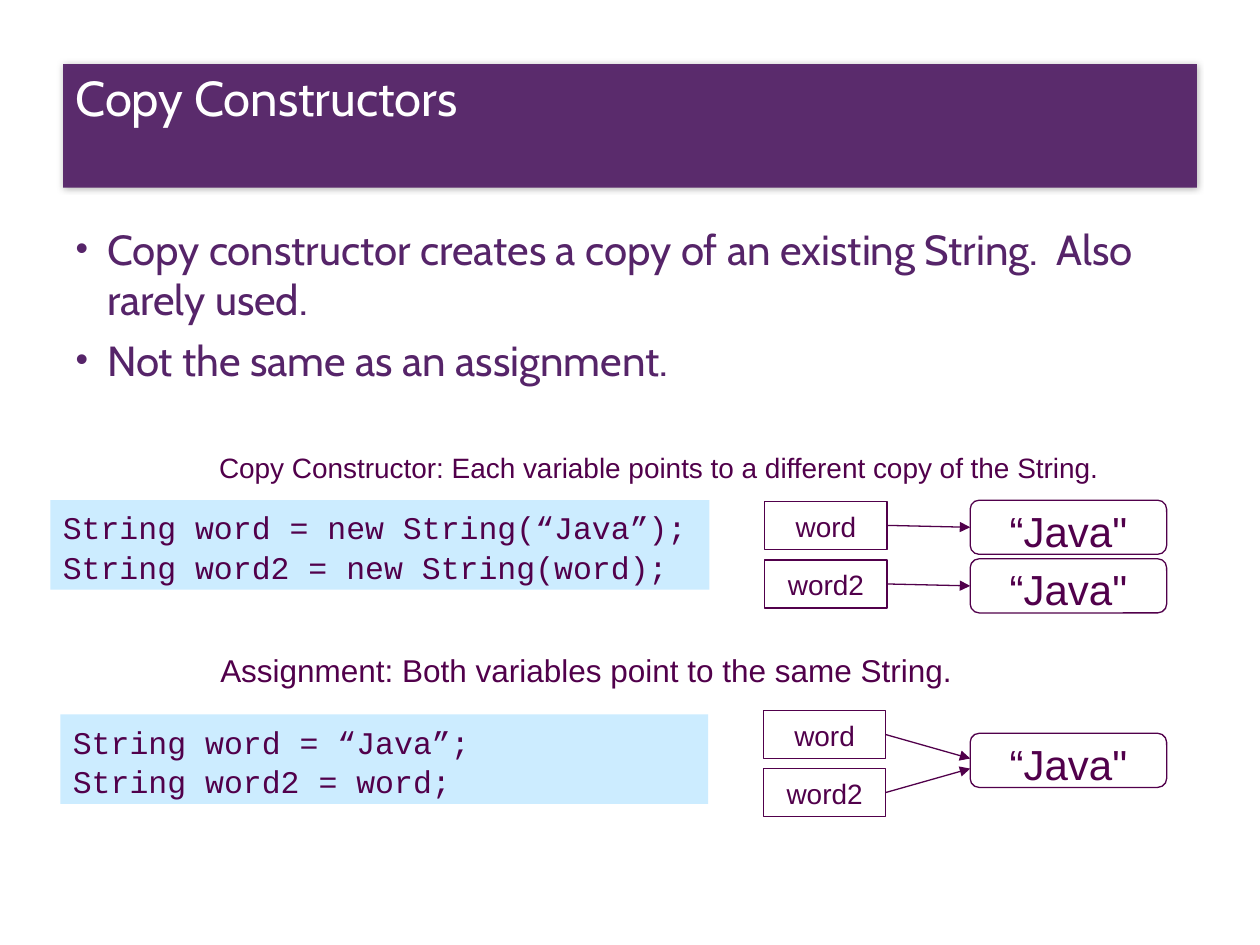
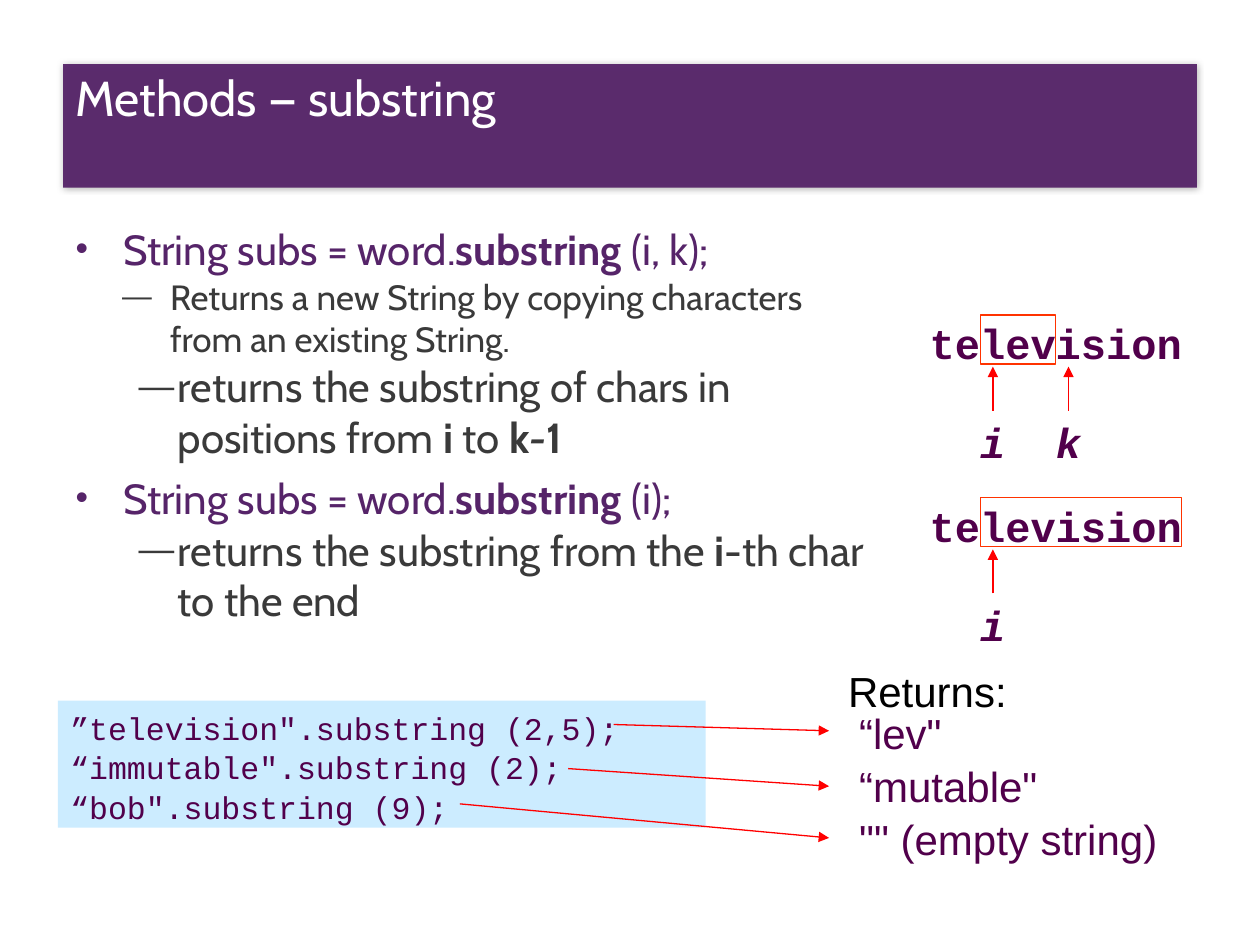
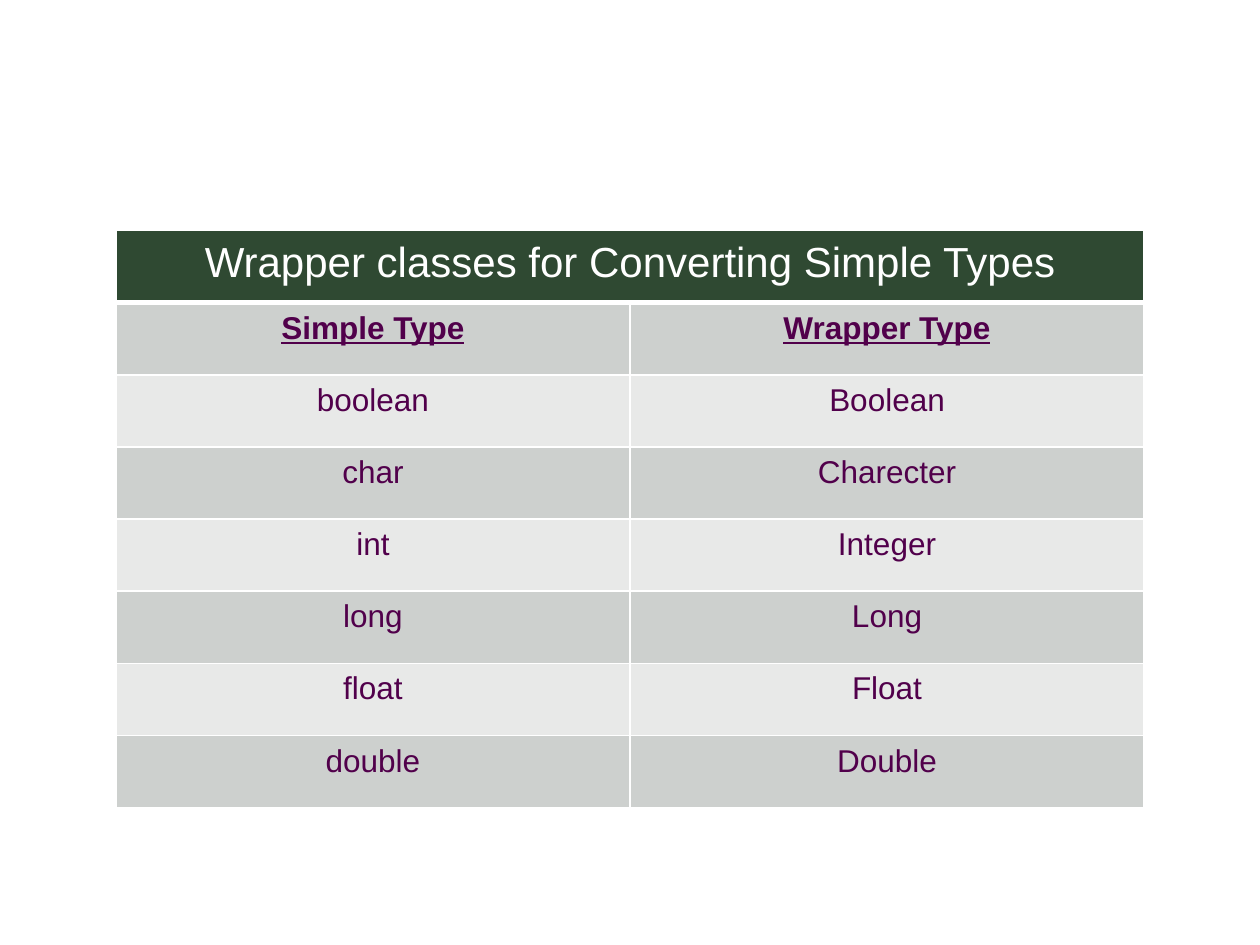
from lxml import etree
from pptx import Presentation
from pptx.dml.color import RGBColor
from pptx.enum.shapes import MSO_CONNECTOR, MSO_SHAPE
from pptx.enum.text import MSO_ANCHOR, MSO_AUTO_SIZE, PP_ALIGN
from pptx.oxml.ns import qn
from pptx.util import Inches, Pt

LEFT, CENTER = PP_ALIGN.LEFT, PP_ALIGN.CENTER
TOP = MSO_ANCHOR.TOP
NO_FIT = MSO_AUTO_SIZE.NONE
RECTANGLE, ROUNDED = MSO_SHAPE.RECTANGLE, MSO_SHAPE.ROUNDED_RECTANGLE
STRAIGHT = MSO_CONNECTOR.STRAIGHT
LEFT_SIDE, RIGHT_SIDE = 1, 3
TITLE_AND_BODY, BLANK = 1, 6

COLORS = {
    "band": "562469", "white": "FFFFFF", "black": "000000", "plum": "51004B",
    "detail": "3A3A3A", "code": "CCECFF", "red": "FF0000", "frame": "FF3300",
    "header": "2F4932", "dark row": "CDD0CE", "light row": "E8E9E8",
}
LABEL = {"name": "Arial", "size": Pt(16), "color": "plum"}
NOTE = {**LABEL, "size": Pt(18)}
VALUE = {**LABEL, "size": Pt(24)}
CODE = {**NOTE, "name": "Courier New"}
LETTERS = {**CODE, "size": Pt(24), "bold": True}
TITLE = {"name": "Cabin", "size": Pt(28), "color": "white"}
BULLET = {"name": "Cabin", "size": Pt(24), "color": "band"}
DETAIL = {**BULLET, "color": "detail"}
SMALL_DETAIL = {**DETAIL, "size": Pt(20)}
BOLD = {"bold": True}

LINE_SPACING = 1.05
CELL = 0.2  # width of one 24 pt monospaced letter
WORD_LEFT = 7.38


def color(name):
    return RGBColor.from_string(COLORS[name])


def add_xml(parent, tag, **attributes):
    return etree.SubElement(parent, qn(tag), attributes)


class Deck:
    def __init__(self):
        self.presentation = Presentation()
        self.presentation.slide_width = Inches(10)
        self.presentation.slide_height = Inches(7.5)
        self.page = None

    def new_page(self, layout):
        self.page = self.presentation.slides.add_slide(
            self.presentation.slide_layouts[layout])

    def place(self, shape, left, top, width, height):
        shape.left, shape.top = Inches(left), Inches(top)
        shape.width, shape.height = Inches(width), Inches(height)

    def span(self, para, text, style):
        span = para.add_run()
        span.text = text
        for key, value in style.items():
            if key == "color":
                span.font.color.rgb = color(value)
            else:
                setattr(span.font, key, value)

    def set_lines(self, frame, lines, style, align=LEFT):
        """Fill a text frame with one paragraph for each line."""
        for number, line in enumerate(lines):
            para = frame.add_paragraph() if number else frame.paragraphs[0]
            para.alignment, para.line_spacing = align, LINE_SPACING
            self.span(para, line, style)

    def title(self, text):
        title = self.page.shapes.title
        self.place(title, 0.5, 0.51, 9, 0.98)
        title.fill.solid()
        title.fill.fore_color.rgb = color("band")
        properties = title.element.spPr
        add_xml(properties.find(".//" + qn("a:srgbClr")), "a:alpha", val="95000")
        effects = add_xml(properties, "a:effectLst")
        shadow = add_xml(effects, "a:outerShdw", blurRad="50800", dist="0")
        tone = add_xml(shadow, "a:srgbClr", val=COLORS["black"])
        add_xml(tone, "a:alpha", val="30000")
        frame = title.text_frame
        frame.auto_size, frame.vertical_anchor, frame.margin_top = NO_FIT, TOP, 0
        self.set_lines(frame, [text], TITLE)

    def body(self, width, items):
        """Each item: level, left margin, hanging indent, style, spans."""
        body = self.page.placeholders[1]
        self.place(body, 0.5, 1.72, width, 5.52)
        frame = body.text_frame
        frame.auto_size = NO_FIT
        for number, (level, margin, hanging, style, spans) in enumerate(items):
            para = frame.add_paragraph() if number else frame.paragraphs[0]
            para.level = level
            para.space_before = Pt((1 if level else 6) if number else 0)
            for text, extra in spans:
                self.span(para, text, {**style, **extra})
            settings = para._p.get_or_add_pPr()
            settings.set("marL", str(Inches(margin)))
            settings.set("indent", str(-Inches(hanging)))
            add_xml(settings, "a:buSzPct", val="85000")
            add_xml(settings, "a:buFont", typeface="Arial")
            add_xml(settings, "a:buChar", char="—" if level else "•")

    def text(self, left, top, width, height, lines, style, align=LEFT):
        box = self.page.shapes.add_textbox(0, 0, 0, 0)
        self.place(box, left, top, width, height)
        box.text_frame.word_wrap = True
        self.set_lines(box.text_frame, lines, style, align)

    def shape(self, kind, left, top, width, height, fill=None, line=None):
        shape = self.page.shapes.add_shape(kind, 0, 0, 0, 0)
        self.place(shape, left, top, width, height)
        shape.shadow.inherit = False
        if fill:
            shape.fill.solid()
            shape.fill.fore_color.rgb = color(fill)
        else:
            shape.fill.background()
        if line:
            shape.line.color.rgb, shape.line.width = color(line), Pt(0.75)
        else:
            shape.line.fill.background()
        shape.text_frame.vertical_anchor = TOP
        return shape

    def code(self, left, top, width, height, lines):
        box = self.shape(RECTANGLE, left, top, width, height, fill="code")
        self.set_lines(box.text_frame, lines, CODE)

    def variable(self, left, top, name):
        box = self.shape(RECTANGLE, left, top, 0.97, 0.38, line="plum")
        self.set_lines(box.text_frame, [name], LABEL, CENTER)
        return box

    def string_object(self, top):
        box = self.shape(ROUNDED, 7.7, top, 1.56, 0.43, line="plum")
        box.text_frame.margin_top = 0
        self.set_lines(box.text_frame, ["“Java\""], VALUE, CENTER)
        return box

    def arrow(self, start, end, line="red"):
        """Draw an arrow; either end is a point or a box to join."""
        points = [(0, 0) if hasattr(place, "left") else place for place in (start, end)]
        arrow = self.page.shapes.add_connector(
            STRAIGHT, *(Inches(value) for point in points for value in point))
        if hasattr(start, "left"):
            arrow.begin_connect(start, RIGHT_SIDE)
        if hasattr(end, "left"):
            arrow.end_connect(end, LEFT_SIDE)
        arrow.line.color.rgb, arrow.line.width = color(line), Pt(0.75)
        properties = arrow._element.spPr
        add_xml(properties.find(qn("a:ln")), "a:tailEnd", type="triangle")
        add_xml(properties, "a:effectLst")

    def indexed_word(self, top, word, first, last, indexes):
        """Frame the letters first to last and point at the indexed ones."""
        self.text(WORD_LEFT - 0.1, top, 2.22, 0.5, [word], LETTERS)
        self.shape(RECTANGLE, WORD_LEFT + first * CELL, top + 0.05,
                   (last - first) * CELL, 0.39, line="frame")
        for name, index in indexes.items():
            middle = WORD_LEFT + (index + 0.5) * CELL
            self.text(middle - 0.25, top + 0.79, 0.5, 0.5, [name],
                      {**LETTERS, "italic": True}, CENTER)
            self.arrow((middle, top + 0.81), (middle, top + 0.46))

    def cell(self, cell, text, fill, style, bottom=1):
        cell.fill.solid()
        cell.fill.fore_color.rgb = color(fill)
        cell.vertical_anchor = TOP
        self.set_lines(cell.text_frame, [text], style, CENTER)
        settings = cell._tc.get_or_add_tcPr()
        for number, side in enumerate("LRTB"):
            width = Pt(bottom if side == "B" else 1)
            border = add_xml(settings, "a:ln" + side, w=str(width))
            paint = add_xml(border, "a:solidFill")
            add_xml(paint, "a:srgbClr", val=COLORS["white"])
            settings.insert(number, border)

    def table(self, heading, rows):
        frame = self.page.shapes.add_table(len(rows) + 1, 2, 0, 0, 0, 0)
        self.place(frame, 0.92, 1.83, 8.16, 4.58)
        table = frame.table
        table.first_row = table.horz_banding = False
        for column in table.columns:
            column.width = Inches(4.08)
        for row in table.rows:
            row.height = Inches(4.58 / (len(rows) + 1))
        table.cell(0, 0).merge(table.cell(0, 1))
        self.cell(table.cell(0, 0), heading, "header", {**VALUE, "color": "white"}, 3)
        for number, row in enumerate(rows, 1):
            fill = "dark row" if number % 2 else "light row"
            names = number == 1
            style = {**NOTE, "bold": names, "underline": names}
            for column, text in enumerate(row):
                self.cell(table.cell(number, column), text, fill, style)


def copy_constructors(deck):
    deck.new_page(TITLE_AND_BODY)
    deck.title("Copy Constructors")
    deck.body(9, [(0, 0.25, 0.25, BULLET, [(text, {})]) for text in (
        "Copy constructor creates a copy of an existing String.  Also rarely used.",
        "Not the same as an assignment.")])

    deck.text(1.64, 3.51, 7.61, 0.37, [
        "Copy Constructor: Each variable points to a different copy of the String."], LABEL)
    deck.code(0.4, 3.97, 5.23, 0.71, [
        "String word = new String(“Java”);", "String word2 = new String(word);"])
    for number, name in enumerate(("word", "word2")):
        drop = number * 0.465
        variable = deck.variable(6.07, 3.98 + drop, name)
        deck.arrow(variable, deck.string_object(3.97 + drop), "plum")

    deck.text(1.65, 5.1, 6.06, 0.4,
              ["Assignment: Both variables point to the same String."], NOTE)
    deck.code(0.48, 5.67, 5.14, 0.71, ["String word = “Java”;", "String word2 = word;"])
    deck.string_object(5.82)
    for name, top, tip in (("word", 5.64, 6.02), ("word2", 6.1, 6.1)):
        deck.arrow(deck.variable(6.06, top, name), (7.7, tip), "plum")


def substring_methods(deck):
    deck.new_page(TITLE_AND_BODY)
    deck.title("Methods — substring")
    deck.body(6.48, [
        (0, 0.38, 0.38, BULLET, [
            ("String subs = word.", {}), ("substring", BOLD), (" (i, k);", {})]),
        (1, 0.75, 0.38, SMALL_DETAIL, [
            ("Returns a new String by copying characters from an existing String.", {})]),
        (1, 0.81, 0.31, DETAIL, [
            ("returns the substring of chars in positions from ", {}), ("i", BOLD),
            (" to ", {}), ("k", BOLD), ("-", {**BOLD, "italic": True}), ("1", BOLD)]),
        (0, 0.38, 0.38, BULLET, [
            ("String subs = word.", {}), ("substring ", BOLD), ("(i);", {})]),
        (1, 0.81, 0.31, DETAIL, [
            ("returns the substring from the ", {}), ("i", BOLD),
            ("-th char to the end", {})]),
    ])
    deck.indexed_word(2.45, "television", 2, 5, {"i": 2, "k": 5})
    deck.indexed_word(3.9, "television", 2, 10, {"i": 2})

    deck.code(0.46, 5.56, 5.14, 1.01, [
        "”television\".substring (2,5);", "“immutable\".substring (2);",
        "“bob\".substring (9);"])
    deck.text(6.57, 5.21, 1.58, 0.5, ["Returns:"], {**VALUE, "color": "black"}, CENTER)
    deck.text(6.72, 5.55, 2.72, 1.3,
              ["“lev\"", "“mutable\"", "\"\" (empty string)"], VALUE)
    for start, tip in (((4.87, 5.75), 5.8), ((4.51, 6.1), 6.24), ((3.65, 6.38), 6.65)):
        deck.arrow(start, (6.58, tip))


def wrapper_classes(deck):
    deck.new_page(BLANK)
    deck.table("Wrapper classes for Converting Simple Types", [
        ("Simple Type", "Wrapper Type"), ("boolean", "Boolean"), ("char", "Charecter"),
        ("int", "Integer"), ("long", "Long"), ("float", "Float"), ("double", "Double")])


def main():
    deck = Deck()
    copy_constructors(deck)
    substring_methods(deck)
    wrapper_classes(deck)
    deck.presentation.save("out.pptx")


if __name__ == "__main__":
    main()
